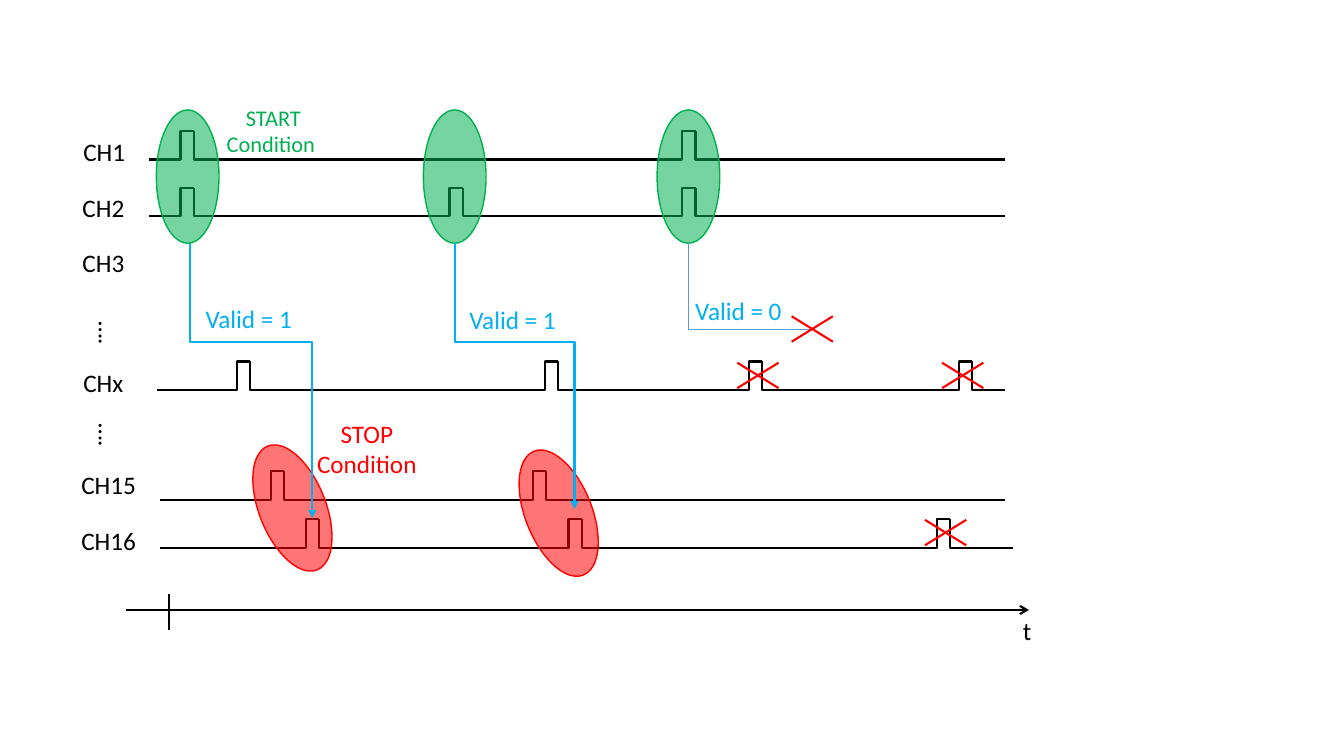
from lxml import etree
from pptx import Presentation
from pptx.dml.color import RGBColor
from pptx.enum.shapes import MSO_CONNECTOR, MSO_SHAPE
from pptx.enum.text import MSO_AUTO_SIZE, PP_ALIGN
from pptx.oxml.ns import qn
from pptx.util import Cm, Pt

COLORS = {
    "signal": "000000",
    "start": "00B050",
    "stop": "FF0000",
    "valid": "00B0F0",
    "invalid": "5B9BD5",
}
PULSE_HEIGHT = 0.72
PULSE_WIDTH = 0.33
LEAD = 0.79
TAIL = 0.32
OVERLAP = 0.25

LABELS = [
    ("CH1", 1.85, 3.3, 1.57),
    ("CH2", 1.83, 4.72, 1.57),
    ("CH3", 1.83, 6.12, 1.57),
    ("CHx", 1.85, 9.12, 1.57),
    ("CH15", 1.8, 11.71, 1.9),
    ("CH16", 1.8, 13.11, 1.9),
]
CHANNELS = [
    (4.02, 3.76, 25.32, [4.88, 17.53]),
    (5.45, 3.76, 25.32, [4.88, 11.66, 17.53]),
    (9.83, 3.96, 25.32, [6.3, 14.07, 19.2, 24.49]),
    (12.6, 4.04, 25.32, [7.16, 13.77]),
    (13.8, 4.04, 25.53, [8.05, 14.66, 23.95]),
]
CROSSES = [(20.47, 8.29), (19.1, 9.46), (24.26, 9.46), (23.83, 13.42)]


def rgb(name):
    return RGBColor.from_string(COLORS[name])


def add_text(shapes, text, x, y, w, h=1.02, size=18, color="signal",
             align=PP_ALIGN.LEFT, rotation=0):
    sp = shapes.add_textbox(Cm(x), Cm(y), Cm(w), Cm(h))
    sp.rotation = rotation
    tf = sp.text_frame
    tf.word_wrap = False
    tf.auto_size = MSO_AUTO_SIZE.SHAPE_TO_FIT_TEXT
    for i, line in enumerate(text.split("\n")):
        p = tf.paragraphs[0] if i == 0 else tf.add_paragraph()
        p.alignment = align
        r = p.add_run()
        r.text = line
        r.font.name = "Calibri"
        r.font.size = Pt(size)
        r.font.color.rgb = rgb(color)


def add_line(shapes, x1, y1, x2, y2, color="signal", width=1.5, bend=None,
             arrow=None):
    kind = MSO_CONNECTOR.STRAIGHT if bend is None else MSO_CONNECTOR.ELBOW
    sp = shapes.add_connector(kind, Cm(x1), Cm(y1), Cm(x2), Cm(y2))
    sp.line.color.rgb = rgb(color)
    sp.line.width = Pt(width)
    pr = sp._element.spPr
    if bend is not None:
        guides = pr.find(qn("a:prstGeom")).find(qn("a:avLst"))
        etree.SubElement(guides, qn("a:gd"), name="adj1",
                         fmla=f"val {round(bend * 100000)}")
    if arrow:
        etree.SubElement(pr.find(qn("a:ln")), qn("a:tailEnd"), type=arrow)
    etree.SubElement(pr, qn("a:effectLst"))
    return sp


def add_drop_arrow(shapes, x1, y1, x2, y2, bend):
    cx, cy = (x1 + x2) / 2, (y1 + y2) / 2
    half_w, half_h = (y2 - y1) / 2, (x2 - x1) / 2
    sp = add_line(shapes, cx + half_w, cy - half_h, cx - half_w, cy + half_h,
                  color="valid", bend=bend, arrow="triangle")
    sp._element.spPr.find(qn("a:xfrm")).set("rot", "16200000")


def add_pulse(shapes, fall, base):
    g = shapes.add_group_shape().shapes
    span = LEAD + PULSE_WIDTH
    top = base - PULSE_HEIGHT
    add_line(g, fall - span, base, fall, top, bend=LEAD / span)
    add_line(g, fall + TAIL, base, fall, top, bend=1)


def add_channel(shapes, base, start, end, falls):
    x = start
    for fall in falls:
        lead_start = fall - LEAD - PULSE_WIDTH
        if lead_start - x > 0.01:
            add_line(shapes, x, base, lead_start + OVERLAP, base)
        add_pulse(shapes, fall, base)
        x = fall
    add_line(shapes, x, base, end, base)


def add_ellipse(shapes, x, y, w, color, rotation=0):
    sp = shapes.add_shape(MSO_SHAPE.OVAL, Cm(x), Cm(y), Cm(w), Cm(3.36))
    sp.shadow.inherit = False
    sp.rotation = rotation
    sp.fill.solid()
    sp.fill.fore_color.rgb = rgb(color)
    fill = sp._element.spPr.find(qn("a:solidFill"))
    etree.SubElement(fill[0], qn("a:alpha"), val="54000")
    sp.line.color.rgb = rgb(color)
    sp.line.width = Pt(1)


def add_cross(shapes, cx, cy):
    g = shapes.add_group_shape().shapes
    for side in (-1, 1):
        add_line(g, cx + side * 0.52, cy + 0.32, cx - side * 0.52, cy - 0.32,
                 color="stop")


def main():
    prs = Presentation()
    prs.slide_width, prs.slide_height = Cm(33.87), Cm(19.05)
    s = prs.slides.add_slide(prs.slide_layouts[6])
    shapes = s.shapes

    add_line(shapes, 3.18, 15.37, 25.93, 15.37, arrow="arrow")
    add_line(shapes, 4.27, 14.96, 4.27, 15.88)
    add_text(shapes, "t", 25.53, 15.39, 0.74)

    for text, x, y, w in LABELS:
        add_text(shapes, text, x, y, w)
    for y in (7.9, 10.46):
        add_text(shapes, "….", 2.18, y, 1.12, rotation=90)
    for channel in CHANNELS:
        add_channel(shapes, *channel)

    for x in (3.94, 10.67, 16.56):
        add_ellipse(shapes, x, 2.77, 1.58, "start")
    for x, y in ((6.53, 11.12), (13.24, 11.25)):
        add_ellipse(shapes, x, y, 1.68, "stop", rotation=338.3)
    add_text(shapes, "START\nCondition ", 5.44, 2.49, 2.9, 1.63, size=16,
             color="start", align=PP_ALIGN.CENTER)
    add_text(shapes, "STOP\nCondition", 7.72, 10.41, 3.05, 1.8, color="stop",
             align=PP_ALIGN.CENTER)

    add_drop_arrow(shapes, 4.8, 6.13, 7.87, 13.06, 0.36)
    add_drop_arrow(shapes, 11.46, 6.13, 14.48, 12.83, 0.37)
    add_line(shapes, 20.47, 8.31, 17.35, 6.13, color="invalid", width=0.5,
             bend=1)
    for text, x, y in (("Valid = 1", 4.93, 7.52), ("Valid = 1", 11.58, 7.54),
                       ("Valid = 0", 17.27, 7.32)):
        add_text(shapes, text, x, y, 2.72, color="valid")
    for cross in CROSSES:
        add_cross(shapes, *cross)

    prs.save("out.pptx")


if __name__ == "__main__":
    main()
